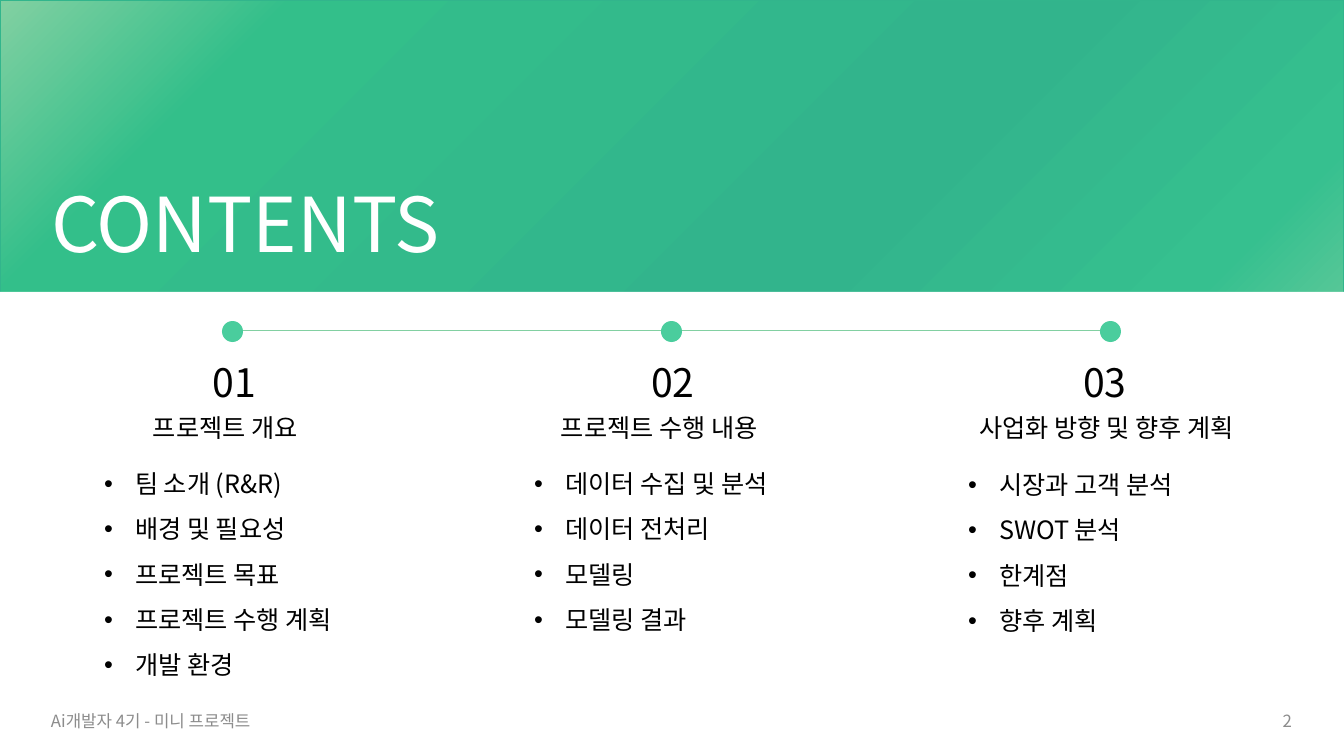
from lxml import etree
from pptx import Presentation
from pptx.dml.color import RGBColor
from pptx.enum.shapes import MSO_CONNECTOR, MSO_SHAPE
from pptx.enum.text import MSO_ANCHOR, MSO_AUTO_SIZE, PP_ALIGN
from pptx.oxml.ns import qn
from pptx.util import Pt

PX = 914400 / 100.8
WIDE, HIGH = 1344, 756
FONT = "Noto Sans CJK KR"
BLACK = RGBColor(0x00, 0x00, 0x00)
WHITE = RGBColor(0xFF, 0xFF, 0xFF)
GRAY = RGBColor(0x8C, 0x8C, 0x8C)
DOT = RGBColor(0x4A, 0xCD, 0x9D)
RULE = RGBColor(0x82, 0xD0, 0xA2)
EDGE = RGBColor(0x32, 0xB5, 0x8C)
LIGHT = RGBColor(0x82, 0xD0, 0xA2)
GREEN = RGBColor(0x33, 0xBF, 0x8A)
DEEP = RGBColor(0x32, 0xB4, 0x8C)
FRESH = RGBColor(0x36, 0xC0, 0x8F)
STOPS = [(0, LIGHT), (14, GREEN), (51, DEEP), (71, FRESH), (87, LIGHT)]
RECT, OVAL = MSO_SHAPE.RECTANGLE, MSO_SHAPE.OVAL
LINE = MSO_CONNECTOR.STRAIGHT
TOP, MIDDLE = MSO_ANCHOR.TOP, MSO_ANCHOR.MIDDLE
LEFT, CENTER, RIGHT = PP_ALIGN.LEFT, PP_ALIGN.CENTER, PP_ALIGN.RIGHT
FIXED = MSO_AUTO_SIZE.NONE

PARTS = [
    ("01", (190, 353, 89, 57),
     "프로젝트 개요", (143, 407, 182, 40), LEFT,
     2, (94, 448, 281, 280),
     ["팀 소개 (R&R)", "배경 및 필요성", "프로젝트 목표", "프로젝트 수행 계획", "개발 환경"]),
    ("02", (633, 353, 80, 57),
     "프로젝트 수행 내용", (551, 407, 242, 40), LEFT,
     3, (524, 448, 296, 188),
     ["데이터 수집 및 분석", "데이터 전처리", "모델링", "모델링 결과"]),
    ("03", (1065, 353, 80, 57),
     "사업화 방향 및 향후 계획", (947, 407, 319, 40), CENTER,
     4, (958, 449, 296, 188),
     ["시장과 고객 분석", "SWOT 분석", "한계점", "향후 계획"]),
]


def px(n):
    return round(n * PX)


def place(shape, box):
    shape.left, shape.top, shape.width, shape.height = map(px, box)


def style(para, size, color, align):
    para.alignment = align
    font = para.font
    font.name, font.size, font.bold = FONT, Pt(size), False
    font.color.rgb = color
    east = etree.SubElement(font._element, qn("a:ea"))
    east.set("typeface", FONT)


def label(slide, box, text, size, color=BLACK, align=LEFT, anchor=TOP):
    frame = slide.shapes.add_textbox(*map(px, box)).text_frame
    frame.word_wrap = True
    frame.vertical_anchor = anchor
    frame.text = text
    style(frame.paragraphs[0], size, color, align)


def shape(slide, kind, box, color):
    item = slide.shapes.add_shape(kind, *map(px, box))
    item.shadow.inherit = False
    item.fill.solid()
    item.fill.fore_color.rgb = color
    item.line.fill.background()
    return item


def blend(item):
    item.fill.gradient()
    grad = item.element.spPr.find(qn("a:gradFill"))
    stops = grad.find(qn("a:gsLst"))
    for old in list(stops):
        stops.remove(old)
    for at, color in STOPS:
        stop = etree.SubElement(stops, qn("a:gs"), pos=str(at * 1000))
        etree.SubElement(stop, qn("a:srgbClr"), val=str(color))
    lin = grad.find(qn("a:lin"))
    lin.set("ang", str(45 * 60000))
    lin.set("scaled", "0")


def backdrop(slide):
    panel = shape(slide, RECT, (0, 292, WIDE, HIGH - 292), WHITE)
    band = shape(slide, RECT, (0, 0, WIDE, HIGH), GREEN)
    blend(band)
    band.line.color.rgb = EDGE
    band.line.width = Pt(1)
    for item in (panel, band):
        item.element.getparent().insert(2, item.element)


def title(slide, text):
    head = slide.shapes.title
    place(head, (41, 162, 927, 131))
    frame = head.text_frame
    frame.auto_size = FIXED
    frame.vertical_anchor = MIDDLE
    frame.text = text
    para = frame.paragraphs[0]
    para.line_spacing = 0.9
    style(para, 54, WHITE, LEFT)


def bullets(body, box, items):
    place(body, box)
    frame = body.text_frame
    frame.auto_size = FIXED
    frame.vertical_anchor = TOP
    frame.text = "\n".join(items)
    for para in frame.paragraphs:
        para.line_spacing = 1.5
        para.space_before = para.space_after = Pt(0)
        props = para._p.get_or_add_pPr()
        props.set("marL", str(px(31)))
        props.set("indent", str(-px(31)))
        etree.SubElement(props, qn("a:buFont"), typeface="Arial")
        etree.SubElement(props, qn("a:buChar"), char="•")
        style(para, 18, BLACK, LEFT)


def track(slide):
    rule = slide.shapes.add_connector(LINE, px(223), px(331), px(1101), px(331))
    rule.line.color.rgb = RULE
    rule.line.width = Pt(0.75)
    etree.SubElement(rule.element.spPr, qn("a:effectLst"))
    for i in range(len(PARTS)):
        shape(slide, OVAL, (222 + i * 439, 321, 21, 21), DOT)


def main():
    deck = Presentation()
    deck.slide_width, deck.slide_height = px(WIDE), px(HIGH)
    slide = deck.slides.add_slide(deck.slide_layouts[4])
    slots = {slot.placeholder_format.idx: slot for slot in slide.placeholders}
    spare = slots[1].element
    spare.getparent().remove(spare)

    backdrop(slide)
    title(slide, "CONTENTS")
    track(slide)
    for num, spot, name, area, align, idx, box, items in PARTS:
        label(slide, spot, num, 28, align=CENTER)
        label(slide, area, name, 18, align=align)
        bullets(slots[idx], box, items)
    label(slide, (41, 701, 318, 40), "Ai개발자 4기 - 미니 프로젝트", 12, GRAY, LEFT, MIDDLE)
    label(slide, (1000, 701, 302, 40), "2", 12, GRAY, RIGHT, MIDDLE)
    deck.save("out.pptx")


if __name__ == "__main__":
    main()
